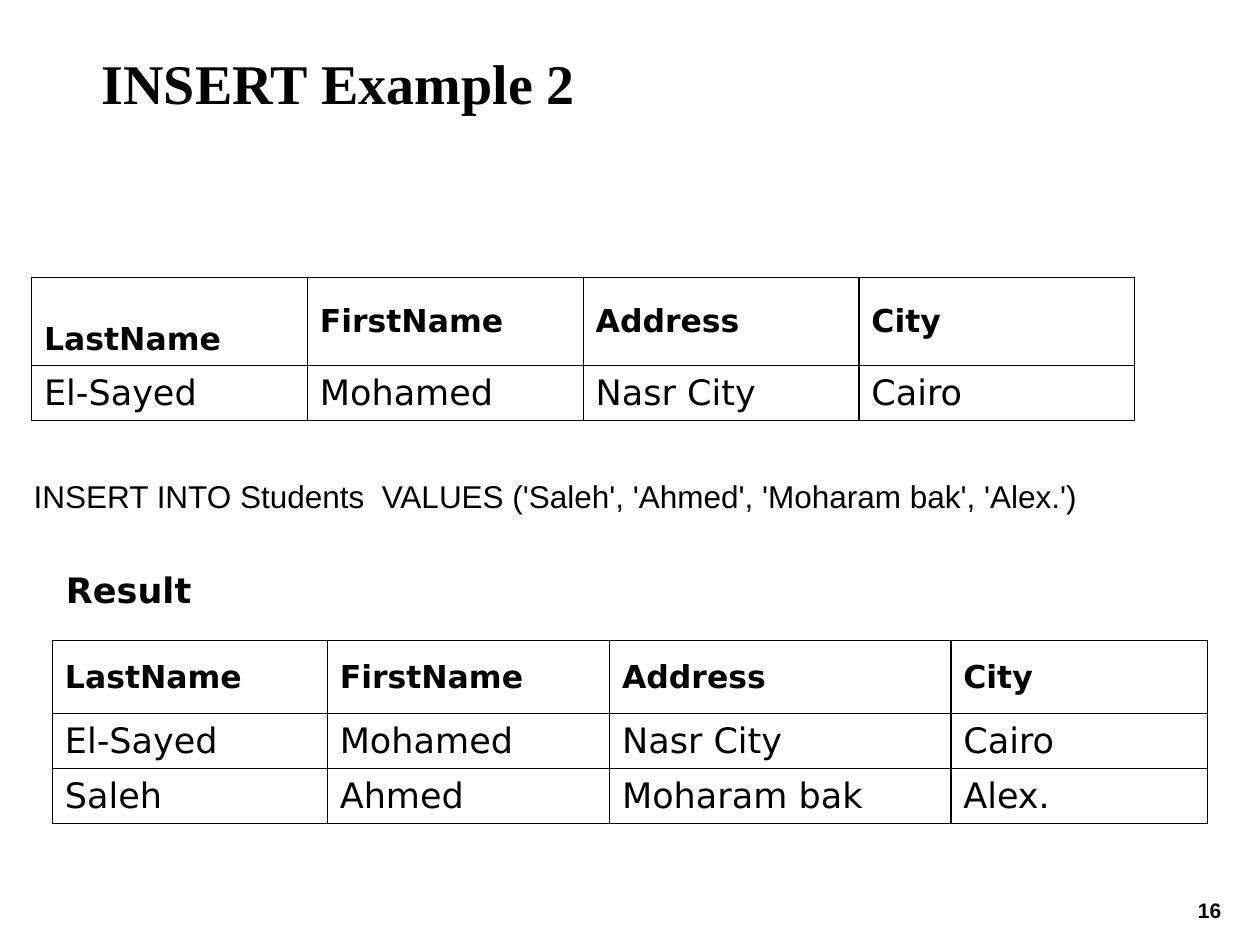
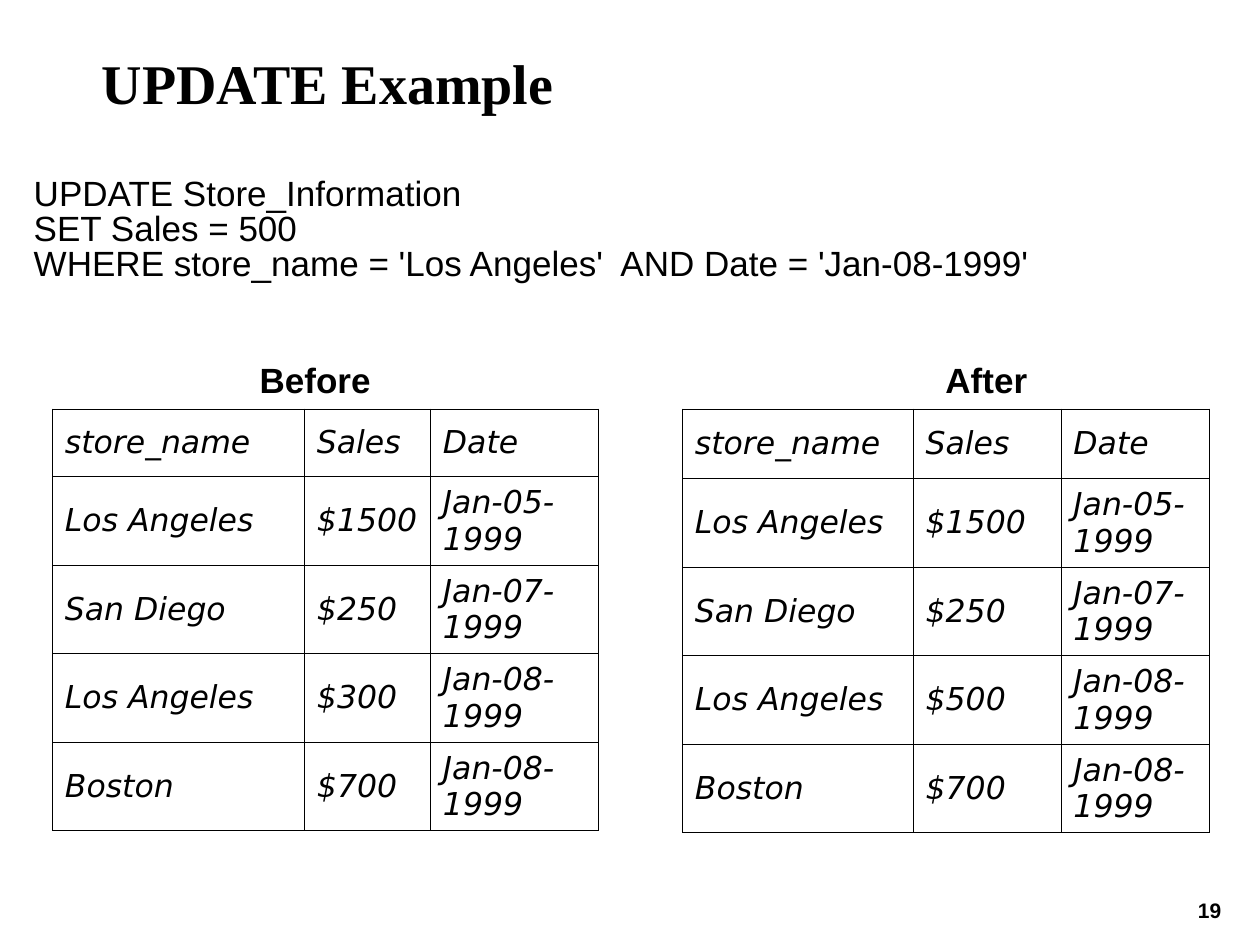
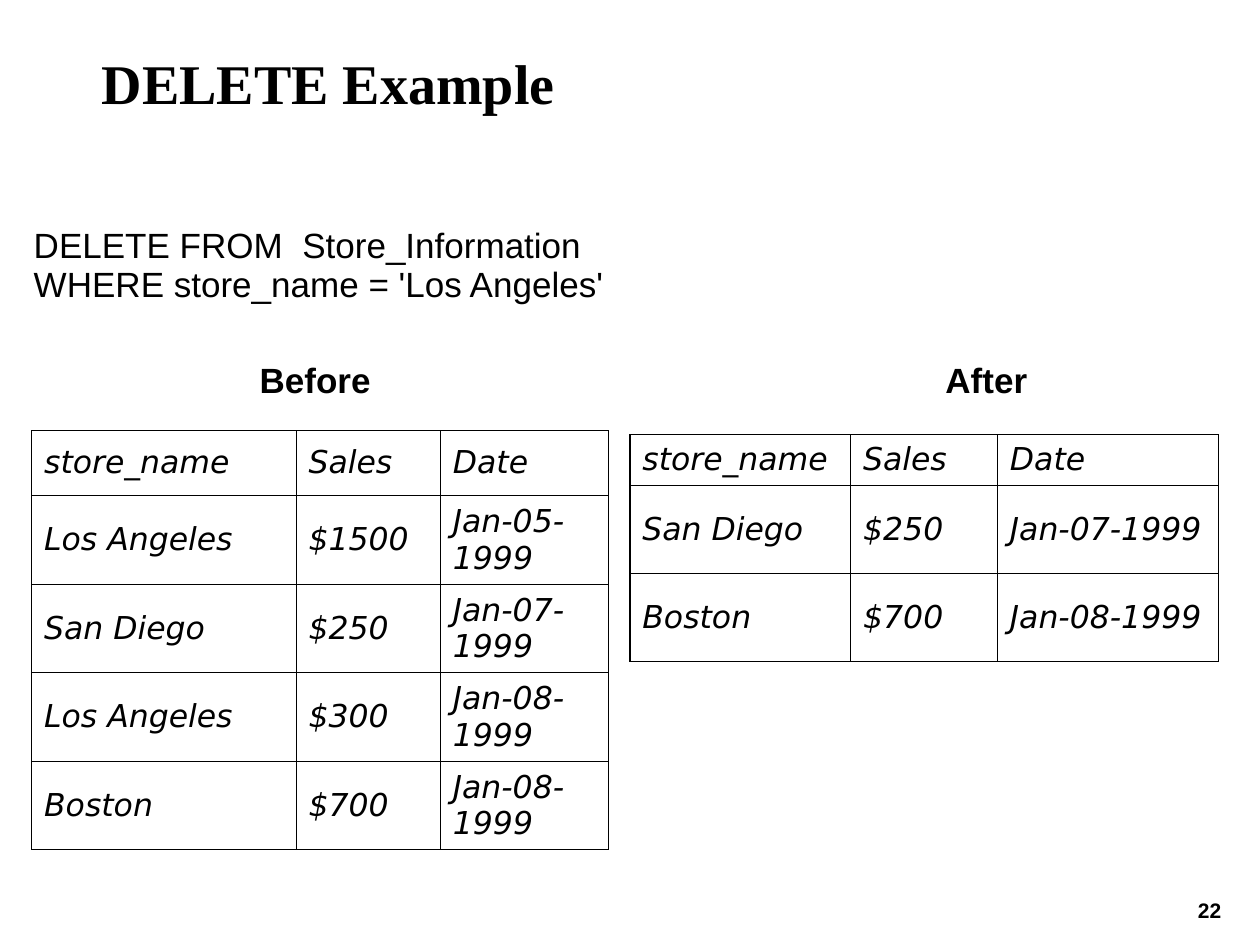
import collections

import pptx
import pptx.dml.color
import pptx.enum.text
import pptx.oxml
import pptx.oxml.ns
import pptx.util

Cm = pptx.util.Cm
Pt = pptx.util.Pt
ANCHOR = pptx.enum.text.MSO_ANCHOR
ALIGN = pptx.enum.text.PP_ALIGN

BLACK = pptx.dml.color.RGBColor(0, 0, 0)
TITLE_FONT = "Times New Roman"
BODY_FONT = "Arial"
TABLE_FONT = "DejaVu Sans"
BORDER_WIDTH = Pt(0.75)
MARGIN_X = Cm(0.25)
MARGIN_Y = Cm(0.13)
TITLE_ONLY = 5

Box = collections.namedtuple("Box", "left top width height")
TITLE_BOX = Box(Cm(1.8), Cm(0.84), Cm(21.06), Cm(2.62))
NUMBER_BOX = Box(Cm(23.75), Cm(18.03), Cm(1.27), Cm(0.71))
BEFORE_BOX = Box(Cm(4.45), Cm(7.19), Cm(3.81), Cm(1.02))
AFTER_BOX = Box(Cm(17.98), Cm(7.19), Cm(3.81), Cm(1.02))

STUDENT_HEADER = ("LastName", "FirstName", "Address", "City")
STUDENT = ("El-Sayed", "Mohamed", "Nasr City", "Cairo")
NEW_STUDENT = ("Saleh", "Ahmed", "Moharam bak", "Alex.")

STORE_HEADER = ("store_name", "Sales", "Date")
STORES = [
    ("Los Angeles", "$1500", "Jan-05-1999"),
    ("San Diego", "$250", "Jan-07-1999"),
    ("Los Angeles", "$300", "Jan-08-1999"),
    ("Boston", "$700", "Jan-08-1999"),
]


def write_text(frame, text, font=BODY_FONT, size=18, bold=False, italic=False,
               align=ALIGN.LEFT, spacing=1.0):
    paragraph = frame.paragraphs[0]
    paragraph.text = text
    paragraph.alignment = align
    paragraph.line_spacing = spacing
    for run in paragraph.runs:
        run.font.name = font
        run.font.size = Pt(size)
        run.font.bold = bold
        run.font.italic = italic
        run.font.color.rgb = BLACK


def set_margins(target, extra_top=0):
    target.margin_left = target.margin_right = MARGIN_X
    target.margin_top = MARGIN_Y + extra_top
    target.margin_bottom = MARGIN_Y


def add_label(slide, box, text, anchor=ANCHOR.TOP, **text_format):
    frame = slide.shapes.add_textbox(*box).text_frame
    frame.word_wrap = True
    frame.auto_size = pptx.enum.text.MSO_AUTO_SIZE.SHAPE_TO_FIT_TEXT
    frame.vertical_anchor = anchor
    set_margins(frame)
    write_text(frame, text, bold=True, align=ALIGN.CENTER, spacing=0.9, **text_format)


def add_title_slide(presentation, title, number):
    slide = presentation.slides.add_slide(presentation.slide_layouts[TITLE_ONLY])
    shape = slide.shapes.title
    shape.left, shape.top, shape.width, shape.height = TITLE_BOX
    frame = shape.text_frame
    frame.word_wrap = True
    frame.auto_size = pptx.enum.text.MSO_AUTO_SIZE.NONE
    frame.vertical_anchor = ANCHOR.TOP
    set_margins(frame)
    write_text(frame, title, font=TITLE_FONT, size=32, bold=True)
    add_label(slide, NUMBER_BOX, str(number), size=12)
    return slide


def set_borders(cell, visible):
    properties = cell._tc.get_or_add_tcPr()
    paint = f'<a:solidFill><a:srgbClr val="{BLACK}"/></a:solidFill>' if visible else "<a:noFill/>"
    namespace = pptx.oxml.ns.nsdecls("a")
    for side in ("lnL", "lnR", "lnT", "lnB"):
        properties.append(pptx.oxml.parse_xml(
            f'<a:{side} {namespace} w="{int(BORDER_WIDTH)}">{paint}</a:{side}>'))


def add_plain_table(slide, left, top, widths, heights, bordered=True):
    table = slide.shapes.add_table(len(heights), len(widths), left, top,
                                   sum(widths), sum(heights)).table
    table.first_row = table.horz_banding = False
    for column, width in zip(table.columns, widths):
        column.width = width
    for row, height in zip(table.rows, heights):
        row.height = height
    for cell in table.iter_cells():
        set_borders(cell, bordered)
        cell.fill.background()
        cell.vertical_anchor = ANCHOR.MIDDLE
        set_margins(cell)
    return table


def add_records(slide, left, top, widths, heights, records, header_format, body_format):
    table = add_plain_table(slide, left, top, widths, heights)
    for row_index, record in enumerate(records):
        text_format = body_format if row_index else header_format
        for column_index, value in enumerate(record):
            write_text(table.cell(row_index, column_index).text_frame, value,
                       font=TABLE_FONT, **text_format)
    return table


def add_statement(slide, box, text, extra_top=0, **text_format):
    table = add_plain_table(slide, box.left, box.top, [box.width], [box.height], bordered=False)
    cell = table.cell(0, 0)
    set_margins(cell, extra_top)
    write_text(cell.text_frame, text, **text_format)


def add_students(slide, left, top, widths, header_height, students):
    heights = [header_height] + [Cm(1.1)] * len(students)
    return add_records(slide, left, top, widths, heights, [STUDENT_HEADER, *students],
                       {"size": 18, "bold": True}, {"size": 20})


def add_stores(slide, left, top, widths, header_height, stores):
    heights = [header_height] + [Cm(1.78)] * len(stores)
    italic = {"size": 18, "italic": True}
    add_records(slide, left, top, widths, heights, [STORE_HEADER, *stores], italic, italic)


def add_comparison_labels(slide):
    add_label(slide, BEFORE_BOX, "Before", size=20)
    add_label(slide, AFTER_BOX, "After", size=20)


def build_insert(presentation):
    slide = add_title_slide(presentation, "INSERT Example 2", 16)
    students = add_students(slide, Cm(0.64), Cm(5.59), [Cm(5.56)] * 4, Cm(1.78), [STUDENT])
    set_margins(students.cell(0, 0), Cm(0.74))
    add_statement(slide, Box(Cm(0.43), Cm(9.09), Cm(22.86), Cm(1.45)),
                  "INSERT INTO Students  VALUES ('Saleh', 'Ahmed', 'Moharam bak', 'Alex.')",
                  extra_top=Cm(0.41))
    add_label(slide, Box(Cm(1.07), Cm(11.43), Cm(3.05), Cm(1.02)), "Result",
              anchor=ANCHOR.MIDDLE, font=TABLE_FONT, size=20)
    add_students(slide, Cm(1.06), Cm(12.91), [Cm(5.54), Cm(5.69), Cm(6.88), Cm(5.18)],
                 Cm(1.48), [STUDENT, NEW_STUDENT])


def build_update(presentation):
    slide = add_title_slide(presentation, "UPDATE Example", 19)
    add_statement(slide, Box(Cm(0.43), Cm(3.38), Cm(22.86), Cm(2.54)),
                  "UPDATE Store_Information\nSET Sales = 500\n"
                  "WHERE store_name = 'Los Angeles'  AND Date = 'Jan-08-1999'",
                  size=20, spacing=0.9)
    add_comparison_labels(slide)
    updated = [(name, "$500" if (name, date) == ("Los Angeles", "Jan-08-1999") else sales, date)
               for name, sales, date in STORES]
    add_stores(slide, Cm(1.06), Cm(8.25), [Cm(5.08), Cm(2.54), Cm(3.39)], Cm(1.36), STORES)
    add_stores(slide, Cm(13.76), Cm(8.25), [Cm(4.65), Cm(2.98), Cm(2.99)], Cm(1.4), updated)


def build_delete(presentation):
    slide = add_title_slide(presentation, "DELETE Example", 22)
    add_statement(slide, Box(Cm(0.43), Cm(4.37), Cm(22.86), Cm(1.96)),
                  "DELETE FROM  Store_Information\nWHERE store_name = 'Los Angeles'", size=20)
    add_comparison_labels(slide)
    remaining = [store for store in STORES if store[0] != "Los Angeles"]
    add_stores(slide, Cm(0.64), Cm(8.68), [Cm(5.33), Cm(2.91), Cm(3.39)], Cm(1.31), STORES)
    add_stores(slide, Cm(12.7), Cm(8.76), [Cm(4.45), Cm(2.96), Cm(4.45)], Cm(1.02), remaining)


def main():
    presentation = pptx.Presentation()
    presentation.slide_width = Cm(25.4)
    presentation.slide_height = Cm(19.05)
    build_insert(presentation)
    build_update(presentation)
    build_delete(presentation)
    presentation.save("out.pptx")


if __name__ == "__main__":
    main()
